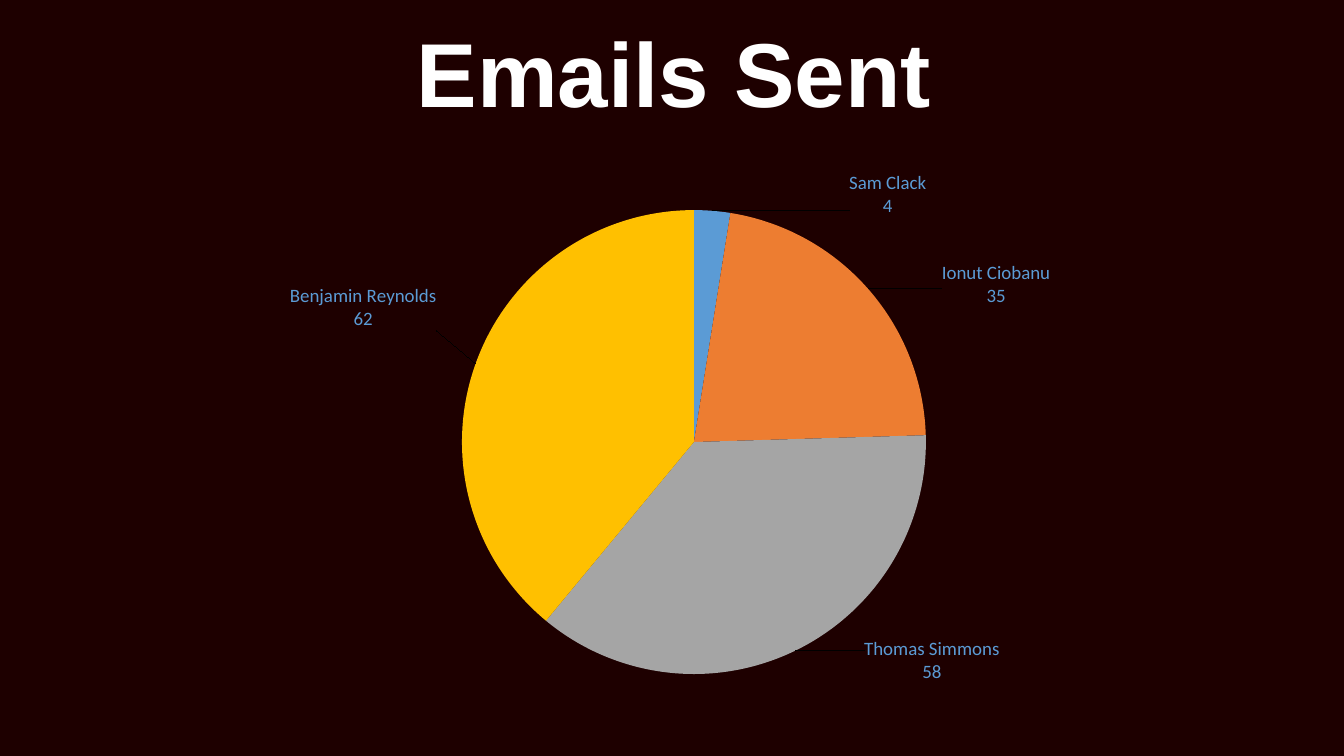
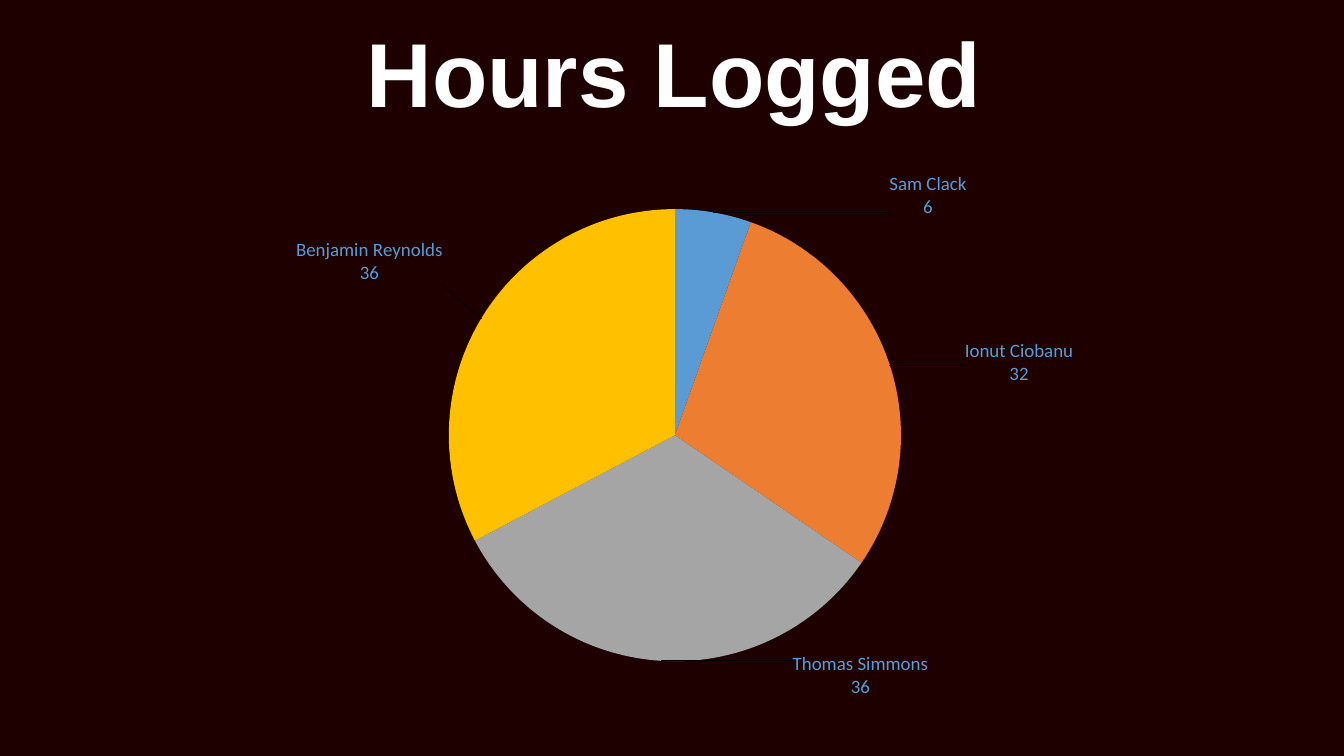
import pptx
import pptx.chart.data
import pptx.dml.color
import pptx.enum.chart
import pptx.enum.text
import pptx.oxml
import pptx.oxml.ns
import pptx.util

Pt = pptx.util.Pt

PEOPLE = ["Sam Clack", "Ionut Ciobanu", "Thomas Simmons", "Benjamin Reynolds"]
SLICE_COLORS = ["5B9BD5", "ED7D31", "A5A5A5", "FFC000"]

# Label shifts and plot squares (left, top, side) are in points within the chart.
SLIDES = [
    {
        "title": "Emails Sent",
        "values": [4, 35, 58, 62],
        "plot": (284, 46.4, 331.4),
        "shifts": [(125, 9), (49.5, 16), (47, -13), (-24, -22)],
    },
    {
        "title": "Hours Logged",
        "values": [6, 32, 36, 36],
        "plot": (274.6, 45.7, 323),
        "shifts": [(125, 9), (49.5, 16), (142, -10), (-24, -22)],
    },
]


def color(hex_string):
    return pptx.dml.color.RGBColor.from_string(hex_string)


def set_values(target, values):
    for name, value in values.items():
        setattr(target, name, value)


def set_font(font, style):
    """Apply a style dict whose "color" entry is a hex string."""
    set_values(font, {name: value for name, value in style.items() if name != "color"})
    font.color.rgb = color(style["color"])


def layout_element(settings):
    """Build a manual chart layout from fractions of the chart's size."""
    parts = "".join(f'<c:{name} val="{value}"/>' for name, value in settings.items())
    return pptx.oxml.parse_xml(
        f"<c:layout {pptx.oxml.ns.nsdecls('c')}>"
        f"<c:manualLayout>{parts}</c:manualLayout></c:layout>"
    )


class PieDeck:
    BACKGROUND = "1E0000"
    TITLE_BOX = {"left": Pt(120), "top": Pt(23), "width": Pt(723), "height": Pt(66)}
    TITLE_FONT = {"name": "Arial", "size": Pt(64.8), "bold": True, "color": "FFFFFF"}
    LABEL_FONT = {"name": "Calibri", "size": Pt(13.5), "bold": False, "color": "5B9BD5"}
    LEADER_FONT = {**LABEL_FONT, "color": "BFBFBF"}  # leader lines take this colour
    CHART_FONT = {"name": "Calibri", "size": Pt(10), "color": "000000"}
    CHART_LEFT, CHART_TOP, CHART_WIDTH, CHART_HEIGHT = 46, 103.7, 854, 416.2

    def __init__(self):
        self.deck = pptx.Presentation()
        set_values(self.deck, {"slide_width": Pt(960), "slide_height": Pt(540)})
        self.slide = None

    def add_slide(self, title):
        self.slide = self.deck.slides.add_slide(self.deck.slide_layouts[5])
        fill = self.slide.background.fill
        fill.solid()
        fill.fore_color.rgb = color(self.BACKGROUND)
        self.set_title(title)

    def set_title(self, text):
        box = self.slide.shapes.title
        set_values(box, self.TITLE_BOX)
        frame = box.text_frame
        set_values(frame, {
            "word_wrap": True,
            "auto_size": pptx.enum.text.MSO_AUTO_SIZE.NONE,
            "vertical_anchor": pptx.enum.text.MSO_ANCHOR.MIDDLE,
        })
        para = frame.paragraphs[0]
        set_values(para, {
            "alignment": pptx.enum.text.PP_ALIGN.CENTER,
            "line_spacing": 0.9,
        })
        span = para.add_run()
        span.text = text
        set_font(span.font, self.TITLE_FONT)

    def add_pie(self, values, plot, shifts):
        data = pptx.chart.data.CategoryChartData()
        data.categories = PEOPLE
        data.add_series("Series 1", values)
        chart = self.slide.shapes.add_chart(
            pptx.enum.chart.XL_CHART_TYPE.PIE,
            Pt(self.CHART_LEFT), Pt(self.CHART_TOP),
            Pt(self.CHART_WIDTH), Pt(self.CHART_HEIGHT), data,
        ).chart
        set_values(chart, {"has_title": False, "has_legend": False})
        set_font(chart.font, self.CHART_FONT)
        chart.plots[0].vary_by_categories = True
        self.place_plot(chart, *plot)

        series = chart.plots[0].series[0]
        labels = series.data_labels
        set_values(labels, {
            "show_value": True,
            "show_percentage": True,
            "show_category_name": True,
            "position": pptx.enum.chart.XL_LABEL_POSITION.OUTSIDE_END,
        })
        set_font(labels.font, self.LEADER_FONT)
        for index, (person, value) in enumerate(zip(PEOPLE, values)):
            point = series.points[index]
            point.format.fill.solid()
            point.format.fill.fore_color.rgb = color(SLICE_COLORS[index])
            self.write_label(point.data_label, [person, str(value)])
        self.shift_labels(chart, shifts)

    def write_label(self, label, lines):
        frame = label.text_frame
        for index, line in enumerate(lines):
            para = frame.add_paragraph() if index else frame.paragraphs[0]
            span = para.add_run()
            span.text = line
            set_font(span.font, self.LABEL_FONT)
        label.position = pptx.enum.chart.XL_LABEL_POSITION.OUTSIDE_END

    def place_plot(self, chart, left, top, side):
        area = chart.element.xpath(".//c:plotArea")[0]
        for old_layout in area.xpath("./c:layout"):
            area.remove(old_layout)
        area.insert(0, layout_element({
            "layoutTarget": "inner", "xMode": "edge", "yMode": "edge",
            "x": left / self.CHART_WIDTH, "y": top / self.CHART_HEIGHT,
            "w": side / self.CHART_WIDTH, "h": side / self.CHART_HEIGHT,
        }))

    def shift_labels(self, chart, shifts):
        """Move each label away from its default place outside the slice."""
        for label, (right, down) in zip(chart.element.xpath(".//c:dLbl"), shifts):
            label.insert(1, layout_element({
                "x": right / self.CHART_WIDTH, "y": down / self.CHART_HEIGHT,
            }))


def main():
    pies = PieDeck()
    for content in SLIDES:
        pies.add_slide(content["title"])
        pies.add_pie(content["values"], content["plot"], content["shifts"])
    pies.deck.save("out.pptx")


if __name__ == "__main__":
    main()
